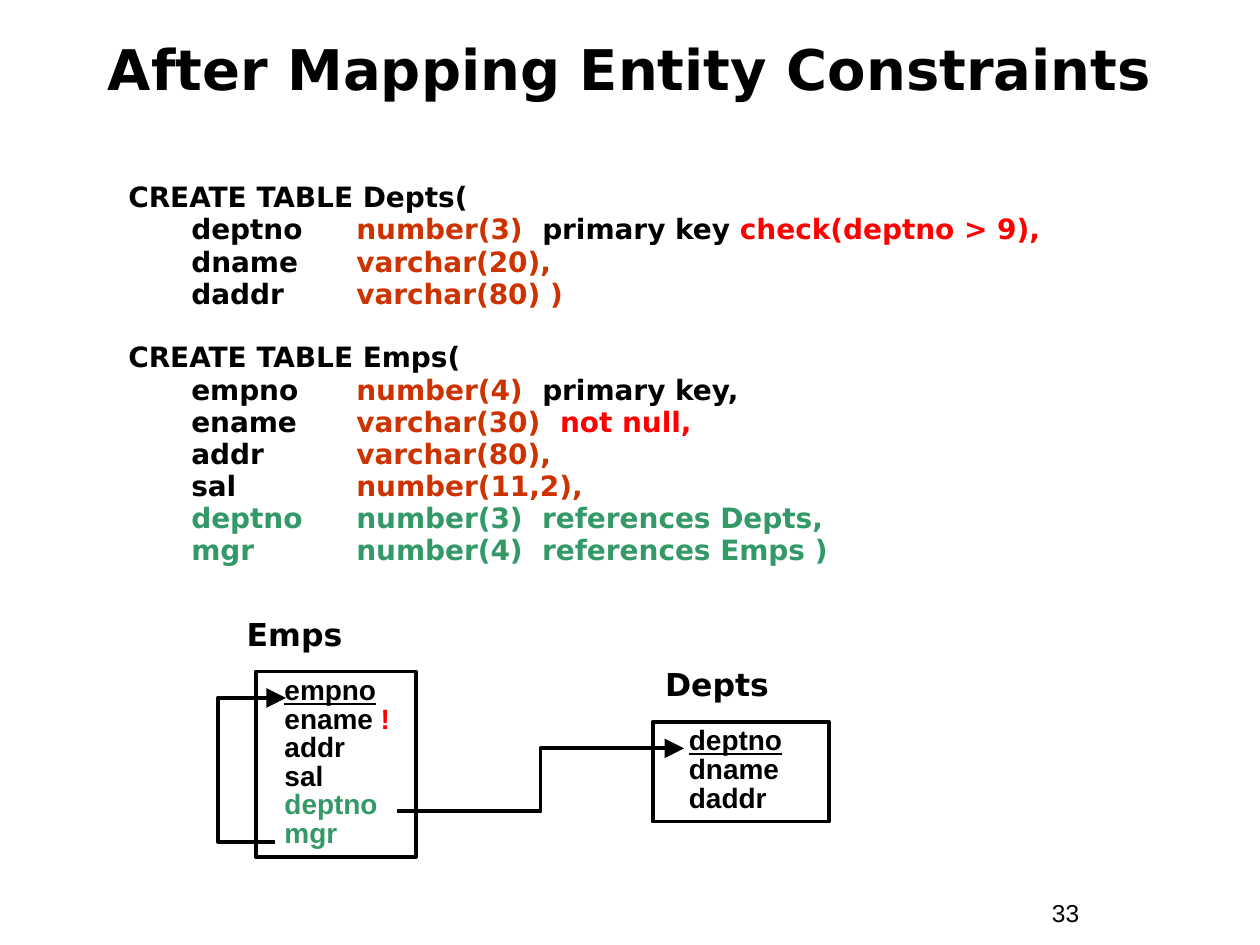
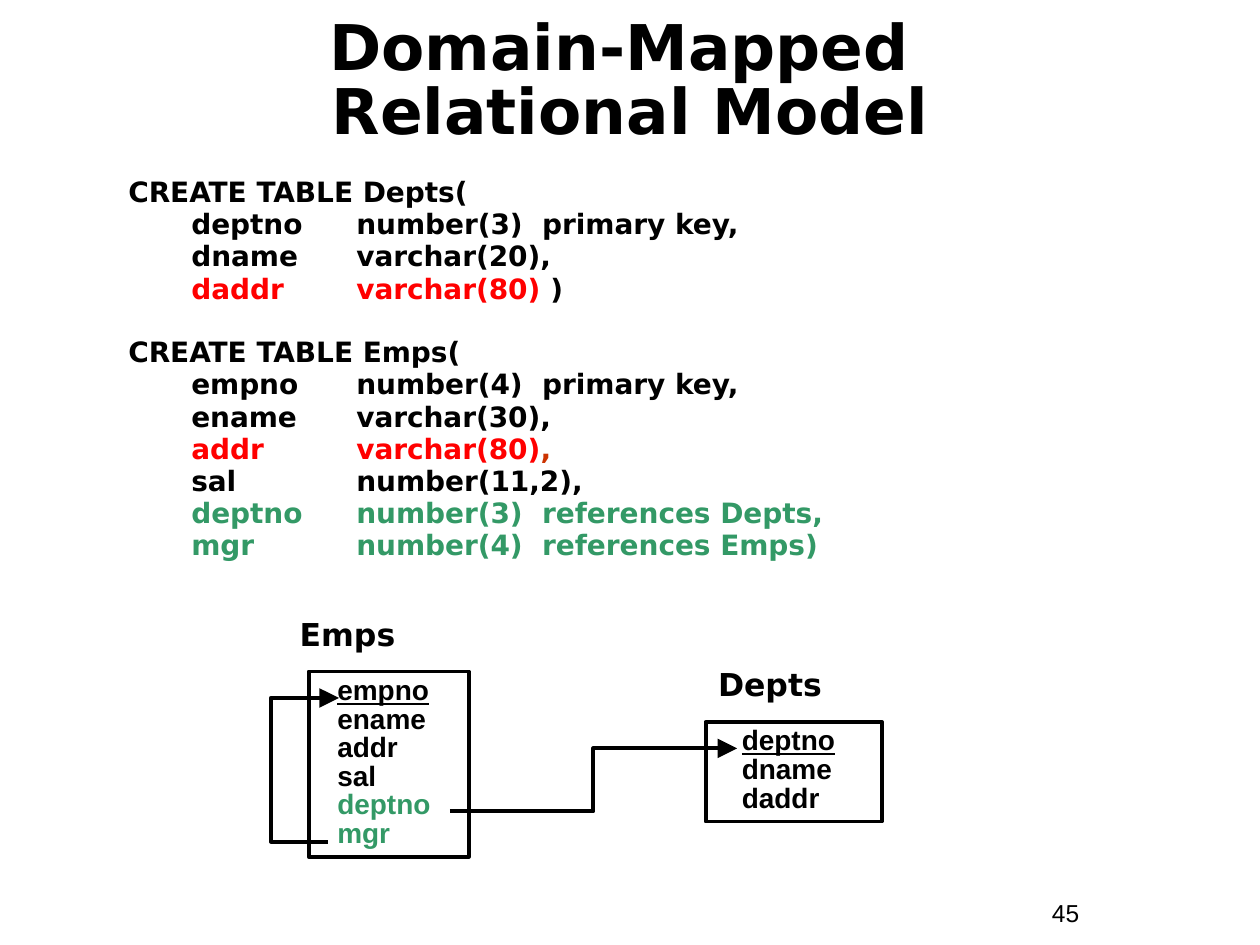
from dataclasses import dataclass
from typing import NamedTuple

from lxml import etree
from pptx import Presentation
from pptx.dml.color import RGBColor
from pptx.enum.shapes import MSO_CONNECTOR, MSO_SHAPE
from pptx.enum.text import MSO_ANCHOR, PP_ALIGN
from pptx.oxml.ns import qn
from pptx.util import Inches, Pt

ELBOW = MSO_CONNECTOR.ELBOW
RECTANGLE = MSO_SHAPE.RECTANGLE
TOP, MIDDLE = MSO_ANCHOR.TOP, MSO_ANCHOR.MIDDLE
LEFT, CENTER = PP_ALIGN.LEFT, PP_ALIGN.CENTER


@dataclass(frozen=True)
class Theme:
    black: str = "000000"
    type_rust: str = "CC3300"
    highlight: str = "FF0000"
    foreign_key: str = "339966"
    heading_font: str = "DejaVu Sans"
    plain_font: str = "Arial"
    code_size: int = 16
    label_size: int = 18
    page_size: int = 14
    line_width: float = 2.25
    tight: float = 0.85
    row_gap: float = 2
    statement_gap: float = 20.2
    column_margin: float = 0.81
    column_hanging: float = 0.31
    tab_step: float = 1


THEME = Theme()


class Span(NamedTuple):
    text: str
    color: str = THEME.black
    underline: bool = False


class Box(NamedTuple):
    left: float
    top: float
    width: float
    height: float

    def shifted(self, dx: float) -> "Box":
        return self._replace(left=self.left + dx)


class Style(NamedTuple):
    font: str
    size: float
    bold: bool = True
    align: PP_ALIGN = LEFT
    spacing: float = 1.0


Line = list[Span]


@dataclass(frozen=True)
class Relation:
    name: str
    label: Box
    frame: Box
    indent: float
    columns: list[Line]


@dataclass(frozen=True)
class Reference:
    """A foreign key arrow that turns at bend_x."""
    start: tuple[float, float]
    end: tuple[float, float]
    bend_x: float


@dataclass(frozen=True)
class Page:
    title: str
    title_box: Box
    title_size: int
    title_spacing: float
    code_top: float
    statements: list[list[Line]]
    diagram_shift: float
    ename: Line
    number: str


LABEL = Style(THEME.heading_font, THEME.label_size)
CODE = Style(THEME.heading_font, THEME.code_size, spacing=THEME.tight)
COLUMN = Style(THEME.plain_font, THEME.code_size, spacing=THEME.tight)
PAGE_NUMBER = Style(THEME.plain_font, THEME.page_size, bold=False)

REFERENCES = [
    Reference((3.15, 6.44), (5.43, 5.94), 4.29),
    Reference((2.18, 6.68), (2.27, 5.54), 1.73),
]


def rust(text: str) -> Span:
    return Span(text, THEME.type_rust)


def red(text: str) -> Span:
    return Span(text, THEME.highlight)


def green(text: str) -> Span:
    return Span(text, THEME.foreign_key)


def key(text: str) -> Span:
    return Span(text, underline=True)


def foreign_keys(ending: str) -> list[Line]:
    return [[green("deptno\tnumber(3)  references Depts,")],
            [green(f"mgr\tnumber(4)  references Emps{ending}")]]


def relations(ename: Line) -> list[Relation]:
    return [
        Relation("Emps", Box(1.86, 4.83, 2.15, 0.4), Box(2.03, 5.33, 1.27, 1.47), 0.13,
                 [[key("empno")], ename, [Span("addr")], [Span("sal")],
                  [green("deptno")], [green("mgr")]]),
        Relation("Depts", Box(5.18, 5.23, 1.32, 0.4), Box(5.18, 5.73, 1.4, 0.79), 0.19,
                 [[key("deptno")], [Span("dname")], [Span("daddr")]]),
    ]


PAGES = [
    Page(
        title="After Mapping Entity Constraints",
        title_box=Box(0.5, 0.25, 9, 0.58), title_size=32, title_spacing=1.0,
        code_top=1.42,
        statements=[
            [[Span("CREATE TABLE Depts(")],
             [Span("deptno\t"), rust("number(3)"), Span("  primary key "),
              red("check(deptno > 9),")],
             [Span("dname\t"), rust("varchar(20),")],
             [Span("daddr\t"), rust("varchar(80) )")]],
            [[Span("CREATE TABLE Emps(")],
             [Span("empno\t"), rust("number(4)"), Span("  primary key,")],
             [Span("ename\t"), rust("varchar(30)  "), red("not null,")],
             [Span("addr\t"), rust("varchar(80),")],
             [Span("sal\t"), rust("number(11,2),")],
             *foreign_keys(" )")],
        ],
        diagram_shift=0, ename=[Span("ename "), red("!")], number="33",
    ),
    Page(
        title="Domain-Mapped \vRelational Model",
        title_box=Box(1, 0.37, 8, 0.58), title_size=36, title_spacing=THEME.tight,
        code_top=1.38,
        statements=[
            [[Span("CREATE TABLE Depts(")],
             [Span("deptno\tnumber(3)  primary key,")],
             [Span("dname\tvarchar(20),")],
             [red("daddr\tvarchar(80) "), Span(")")]],
            [[Span("CREATE TABLE Emps(")],
             [Span("empno\tnumber(4)  primary key,")],
             [Span("ename\tvarchar(30),")],
             [red("addr\tvarchar(80)"), rust(",")],
             [Span("sal\tnumber(11,2),")],
             *foreign_keys(")")],
        ],
        diagram_shift=0.42, ename=[Span("ename")], number="45",
    ),
]


def inches(box: Box) -> list[int]:
    return [Inches(length) for length in box]


def format_run(run, style: Style, color: str, underline: bool = False) -> None:
    run.font.name = style.font
    run.font.size = Pt(style.size)
    run.font.bold = style.bold
    run.font.underline = underline
    run.font.color.rgb = RGBColor.from_string(color)


def write_line(paragraph, line: Line, style: Style) -> None:
    paragraph.alignment = style.align
    paragraph.line_spacing = style.spacing
    for span in line:
        run = paragraph.add_run()
        run.text = span.text
        format_run(run, style, span.color, span.underline)


def next_paragraph(frame, index: int):
    return frame.add_paragraph() if index else frame.paragraphs[0]


def add_text(slide, box: Box, text: str, style: Style, anchor: MSO_ANCHOR = TOP) -> None:
    frame = slide.shapes.add_textbox(*inches(box)).text_frame
    frame.word_wrap = True
    frame.vertical_anchor = anchor
    frame.text = text
    paragraph = frame.paragraphs[0]
    paragraph.alignment = style.align
    paragraph.line_spacing = style.spacing
    for run in paragraph.runs:
        format_run(run, style, THEME.black)


def indent_column_definition(paragraph) -> None:
    """Indent the column name; its type starts one tab step past the margin."""
    properties = paragraph._p.get_or_add_pPr()
    properties.set("marL", str(Inches(THEME.column_margin)))
    properties.set("indent", str(-Inches(THEME.column_hanging)))
    properties.set("defTabSz", str(Inches(THEME.tab_step)))


def add_code(slide, top: float, statements: list[list[Line]]) -> None:
    frame = slide.shapes.add_textbox(*inches(Box(0.92, top, 8.5, 3.42))).text_frame
    frame.word_wrap = True
    index = 0
    for statement in statements:
        for row, line in enumerate(statement):
            paragraph = next_paragraph(frame, index)
            write_line(paragraph, line, CODE)
            if index:
                paragraph.space_before = Pt(THEME.row_gap if row else THEME.statement_gap)
            if row:
                indent_column_definition(paragraph)
            index += 1


def add_relation(slide, relation: Relation, shift: float) -> None:
    add_text(slide, relation.label.shifted(shift), relation.name, LABEL)
    table = slide.shapes.add_shape(RECTANGLE, *inches(relation.frame.shifted(shift)))
    table.shadow.inherit = False
    table.fill.background()
    table.line.color.rgb = RGBColor.from_string(THEME.black)
    table.line.width = Pt(THEME.line_width)
    frame = table.text_frame
    frame.word_wrap = True
    frame.vertical_anchor = TOP
    for index, column in enumerate(relation.columns):
        paragraph = next_paragraph(frame, index)
        write_line(paragraph, column, COLUMN)
        paragraph._p.get_or_add_pPr().set("marL", str(Inches(relation.indent)))


def add_reference(slide, reference: Reference, shift: float) -> None:
    (x1, y1), (x2, y2) = reference.start, reference.end
    arrow = slide.shapes.add_connector(
        ELBOW, Inches(x1 + shift), Inches(y1), Inches(x2 + shift), Inches(y2))
    arrow.line.color.rgb = RGBColor.from_string(THEME.black)
    arrow.line.width = Pt(THEME.line_width)
    properties = arrow._element.spPr
    bend = round((reference.bend_x - x1) / (x2 - x1) * 100000)
    guides = properties.find(qn("a:prstGeom")).find(qn("a:avLst"))
    etree.SubElement(guides, qn("a:gd"), name="adj1", fmla=f"val {bend}")
    etree.SubElement(properties.find(qn("a:ln")), qn("a:tailEnd"),
                     type="triangle", w="lg", len="lg")
    etree.SubElement(properties, qn("a:effectLst"))


def add_page(deck, page: Page) -> None:
    slide = deck.slides.add_slide(deck.slide_layouts[6])
    add_text(slide, Box(8.25, 7.08, 0.92, 0.34), page.number, PAGE_NUMBER)
    title_style = Style(THEME.heading_font, page.title_size, align=CENTER,
                        spacing=page.title_spacing)
    add_text(slide, page.title_box, page.title, title_style, MIDDLE)
    add_code(slide, page.code_top, page.statements)
    for relation in relations(page.ename):
        add_relation(slide, relation, page.diagram_shift)
    for reference in REFERENCES:
        add_reference(slide, reference, page.diagram_shift)


def main() -> None:
    deck = Presentation()
    deck.slide_width, deck.slide_height = Inches(10), Inches(7.5)
    for page in PAGES:
        add_page(deck, page)
    deck.save("out.pptx")


if __name__ == "__main__":
    main()
